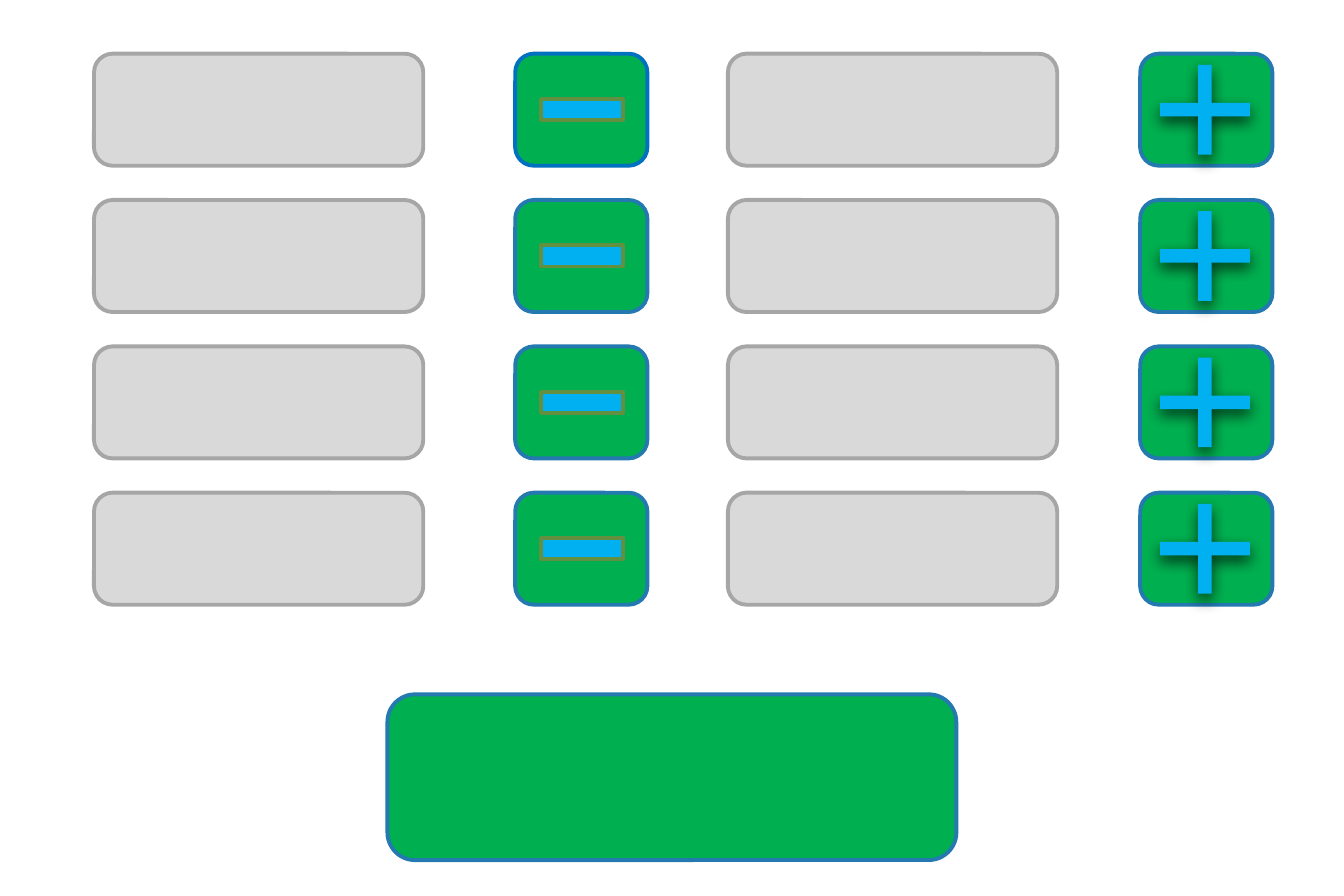
from lxml.etree import SubElement
from pptx import Presentation
from pptx.dml.color import RGBColor
from pptx.enum.shapes import MSO_SHAPE
from pptx.oxml.ns import qn
from pptx.util import Inches, Pt

GREEN = RGBColor(0x00, 0xB0, 0x50)
SKY = RGBColor(0x00, 0xB0, 0xF0)
BLUE = RGBColor(0x23, 0x79, 0xB0)
BRIGHT_BLUE = RGBColor(0x00, 0x70, 0xC0)
OLIVE = RGBColor(0x63, 0x8F, 0x40)
LIGHT_GRAY = RGBColor(0xD9, 0xD9, 0xD9)
GRAY = RGBColor(0xA6, 0xA6, 0xA6)

ROWS = 4
FIRST_TOP, LAST_TOP = 0.24, 2.2
ROW_STEP = (LAST_TOP - FIRST_TOP) / (ROWS - 1)
ROW_HEIGHT = 0.5
FIELD_WIDTH, BUTTON_WIDTH = 1.47, 0.59


def add_box(slide, kind, left, top, width, height, fill, line=None):
    """Add a filled preset shape with an optional outline."""
    sp = slide.shapes.add_shape(
        kind, Inches(left), Inches(top), Inches(width), Inches(height))
    sp.shadow.inherit = False
    sp.fill.solid()
    sp.fill.fore_color.rgb = fill
    if line is None:
        sp.line.fill.background()
    else:
        sp.line.color.rgb = line
        sp.line.width = Pt(1.25)
    return sp


def add_drop_shadow(sp):
    """Give a shape a soft black shadow falling straight down."""
    effects = sp._element.spPr.find(qn("a:effectLst"))
    shadow = SubElement(effects, qn("a:outerShdw"), blurRad=str(Pt(5)),
                        dist=str(Pt(2)), dir="5400000", algn="ctr",
                        rotWithShape="0")
    color = SubElement(shadow, qn("a:srgbClr"), val="000000")
    SubElement(color, qn("a:alpha"), val="69000")


def add_field(slide, left, top):
    """Add an empty gray field."""
    add_box(slide, MSO_SHAPE.ROUNDED_RECTANGLE, left, top,
            FIELD_WIDTH, ROW_HEIGHT, LIGHT_GRAY, GRAY)


def add_button(slide, left, top, line=BLUE):
    """Add a green button base."""
    add_box(slide, MSO_SHAPE.ROUNDED_RECTANGLE, left, top,
            BUTTON_WIDTH, ROW_HEIGHT, GREEN, line)


def add_minus_button(slide, left, top, line):
    """Add a button with a minus sign in it."""
    add_button(slide, left, top, line)
    add_box(slide, MSO_SHAPE.MATH_MINUS, left + 0.05, top + 0.05,
            0.5, 0.4, SKY, OLIVE)


def add_plus_button(slide, left, top):
    """Add a button with a shadowed plus sign in it."""
    add_button(slide, left, top)
    plus = add_box(slide, MSO_SHAPE.CROSS, left + 0.09, top + 0.05,
                   0.4, 0.4, SKY)
    plus.adjustments[0] = 0.425
    add_drop_shadow(plus)


def add_row(slide, left, top, minus_line):
    """Add one row of two fields, each followed by its button."""
    add_field(slide, left, top)
    add_minus_button(slide, left + 1.88, top, minus_line)
    add_field(slide, left + 2.83, top)
    add_plus_button(slide, left + 4.67, top)


def main():
    """Build the slide and save it."""
    prs = Presentation()
    prs.slide_width, prs.slide_height = Inches(6), Inches(4)
    slide = prs.slides.add_slide(prs.slide_layouts[6])
    for row in range(ROWS):
        add_row(slide, 0.42, FIRST_TOP + row * ROW_STEP,
                BRIGHT_BLUE if row == 0 else BLUE)
    add_box(slide, MSO_SHAPE.ROUNDED_RECTANGLE, 1.73, 3.1, 2.54, 0.74,
            GREEN, BLUE)
    prs.save("out.pptx")


if __name__ == "__main__":
    main()
